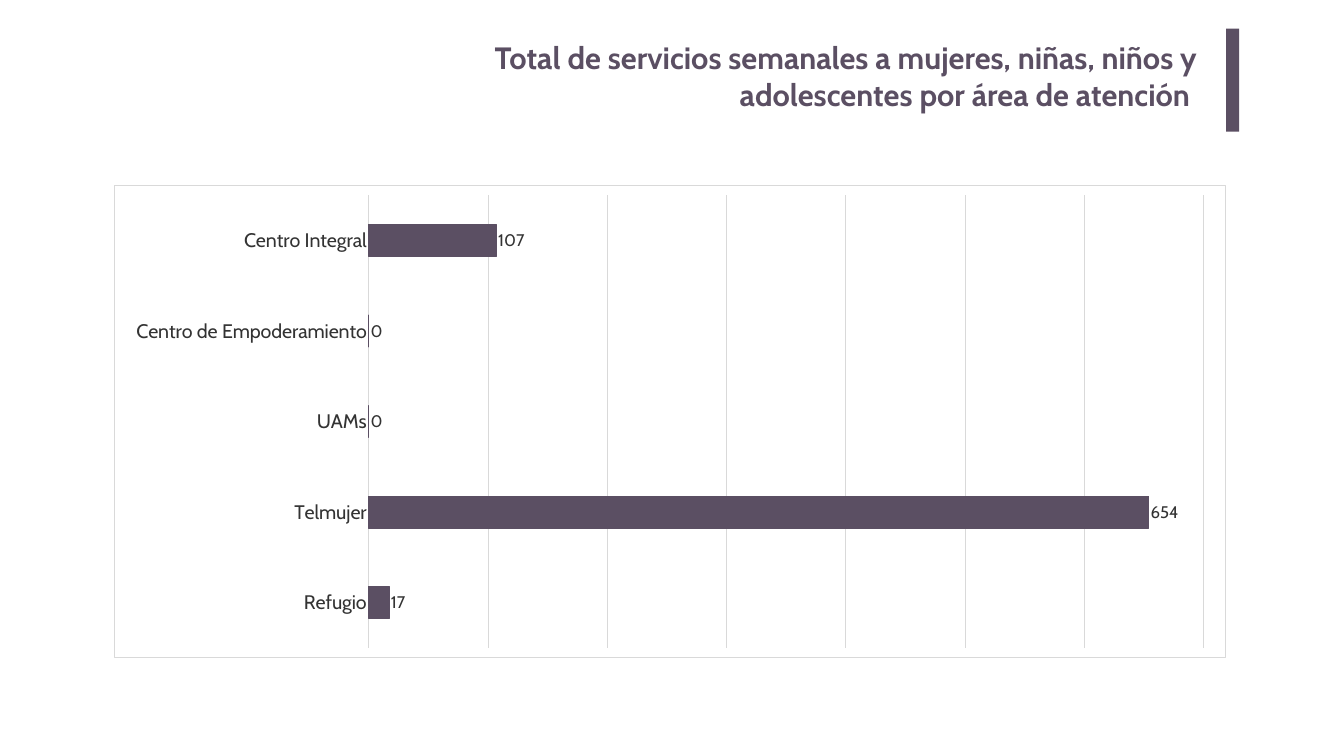
from lxml import etree
from pptx import Presentation
from pptx.chart.data import CategoryChartData
from pptx.dml.color import RGBColor
from pptx.enum.chart import XL_CHART_TYPE as ChartType
from pptx.enum.chart import XL_LABEL_POSITION as LabelPos
from pptx.enum.chart import XL_TICK_MARK as TickMark
from pptx.enum.shapes import MSO_SHAPE as Shape
from pptx.enum.text import MSO_ANCHOR as Anchor
from pptx.enum.text import PP_ALIGN as Align
from pptx.util import Inches, Pt

WIDTH, HEIGHT = Inches(26.67), Inches(15)
FONT = "Cabin"
PLUM = RGBColor(0x5B, 0x4F, 0x63)
INK = RGBColor(0x33, 0x33, 0x33)
GRID = RGBColor(0xD9, 0xD9, 0xD9)
BLACK = RGBColor(0, 0, 0)

TITLE = ("Total de servicios semanales a mujeres, niñas, niños y "
         "adolescentes por área de atención ")
SERVICES = {"Centro Integral": 107, "Centro de Empoderamiento": 0,
            "UAMs": 0, "Telmujer": 654, "Refugio": 17}

BORDER_XML = f"""
<c:spPr xmlns:c="http://schemas.openxmlformats.org/drawingml/2006/chart"
        xmlns:a="http://schemas.openxmlformats.org/drawingml/2006/main">
  <a:solidFill><a:srgbClr val="FFFFFF"/></a:solidFill>
  <a:ln w="{Pt(0.75)}"><a:solidFill><a:srgbClr val="{GRID}"/></a:solidFill></a:ln>
</c:spPr>"""


def share(x, y, w, h):
    """Turn percentages of the slide's size into lengths."""
    return [int(v * side / 100) for v, side in
            zip((x, y, w, h), (WIDTH, HEIGHT, WIDTH, HEIGHT))]


def set_attrs(obj, values):
    for name, value in values.items():
        setattr(obj, name, value)


def set_font(font, size, color, bold=False):
    set_attrs(font, {"name": FONT, "size": Pt(size), "bold": bold})
    font.color.rgb = color


def set_line(line, color):
    line.color.rgb = color
    line.width = Pt(0.75)


def add_title(s, box, text):
    tf = s.shapes.add_textbox(*box).text_frame
    set_attrs(tf, {"word_wrap": True, "vertical_anchor": Anchor.TOP,
                   "margin_left": Inches(0.2), "margin_right": Inches(0.2),
                   "margin_top": Inches(0.1), "margin_bottom": Inches(0.1)})
    p = tf.paragraphs[0]
    p.alignment = Align.RIGHT
    r = p.add_run()
    r.text = text
    set_font(r.font, 44, PLUM, bold=True)


def add_accent(s, box):
    sp = s.shapes.add_shape(Shape.RECTANGLE, *box)
    sp.shadow.inherit = False
    sp.fill.solid()
    sp.fill.fore_color.rgb = PLUM
    sp.line.fill.background()


def add_bar_chart(s, box, values):
    data = CategoryChartData()
    data.categories = list(values)
    data.add_series("Servicios", list(values.values()))
    chart = s.shapes.add_chart(ChartType.BAR_CLUSTERED, *box, data).chart
    set_attrs(chart, {"has_legend": False, "has_title": False})
    set_font(chart.font, 10, BLACK)

    # Frame around the chart
    chart.element.find("{*}chart").addnext(etree.fromstring(BORDER_XML))

    # Axes: first category on top, value axis reduced to its grid
    cat, val = chart.category_axis, chart.value_axis
    set_attrs(cat, {"reverse_order": True, "major_tick_mark": TickMark.NONE,
                    "minor_tick_mark": TickMark.NONE})
    set_font(cat.tick_labels.font, 28, INK)
    set_line(cat.format.line, GRID)
    set_attrs(val, {"visible": False, "has_major_gridlines": True,
                    "minimum_scale": 0, "maximum_scale": 700, "major_unit": 100})
    set_line(val.major_gridlines.format.line, GRID)

    # Bars and their values
    plot = chart.plots[0]
    set_attrs(plot, {"gap_width": 182, "vary_by_categories": False})
    bars = plot.series[0]
    bars.format.fill.solid()
    bars.format.fill.fore_color.rgb = PLUM
    set_line(bars.format.line, PLUM)
    labels = bars.data_labels
    set_attrs(labels, {"show_value": True, "position": LabelPos.OUTSIDE_END})
    set_font(labels.font, 24, INK)


def main():
    prs = Presentation()
    set_attrs(prs, {"slide_width": WIDTH, "slide_height": HEIGHT})
    s = prs.slides.add_slide(prs.slide_layouts[6])

    # Heading with its accent bar
    add_title(s, share(24.6, 4.47, 65.24, 13.6), TITLE)
    add_accent(s, share(91.23, 3.8, 0.97, 13.6))

    # Services by area
    add_bar_chart(s, share(8.47, 24.53, 82.75, 62.47), SERVICES)

    prs.save("out.pptx")


if __name__ == "__main__":
    main()
